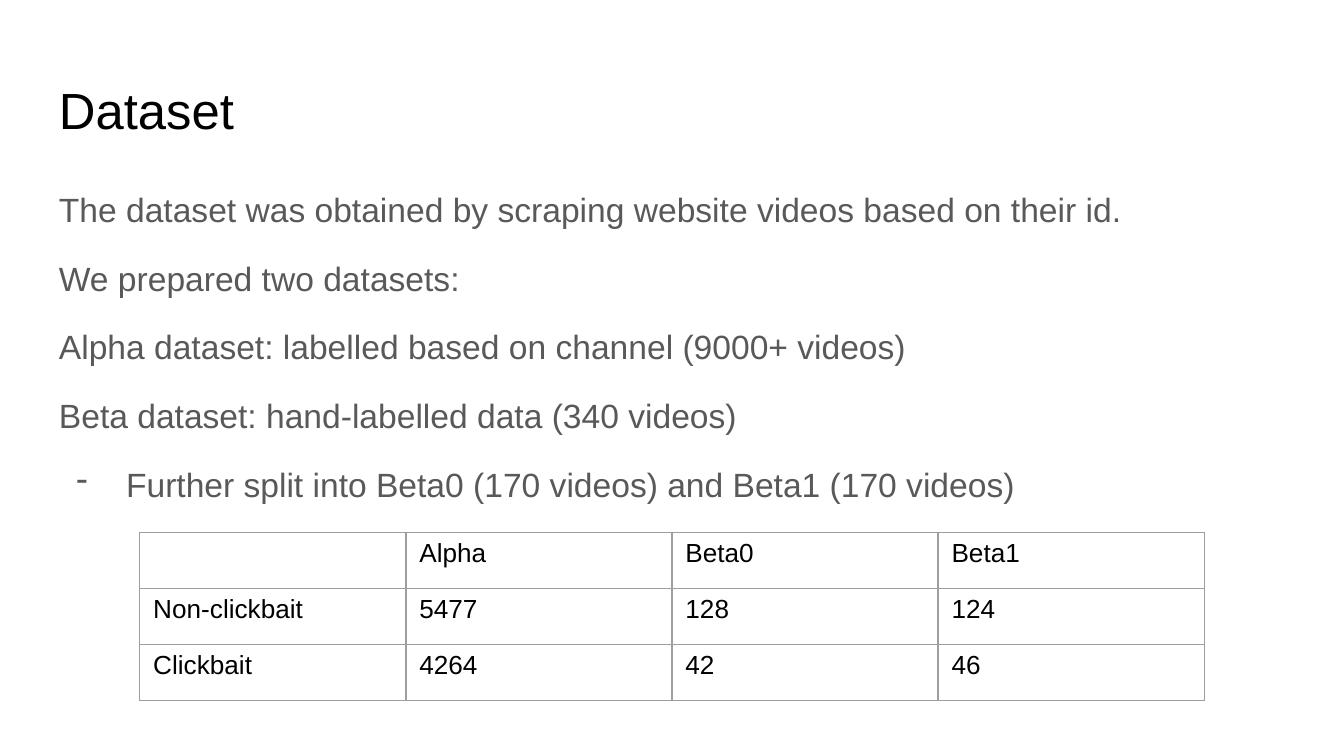
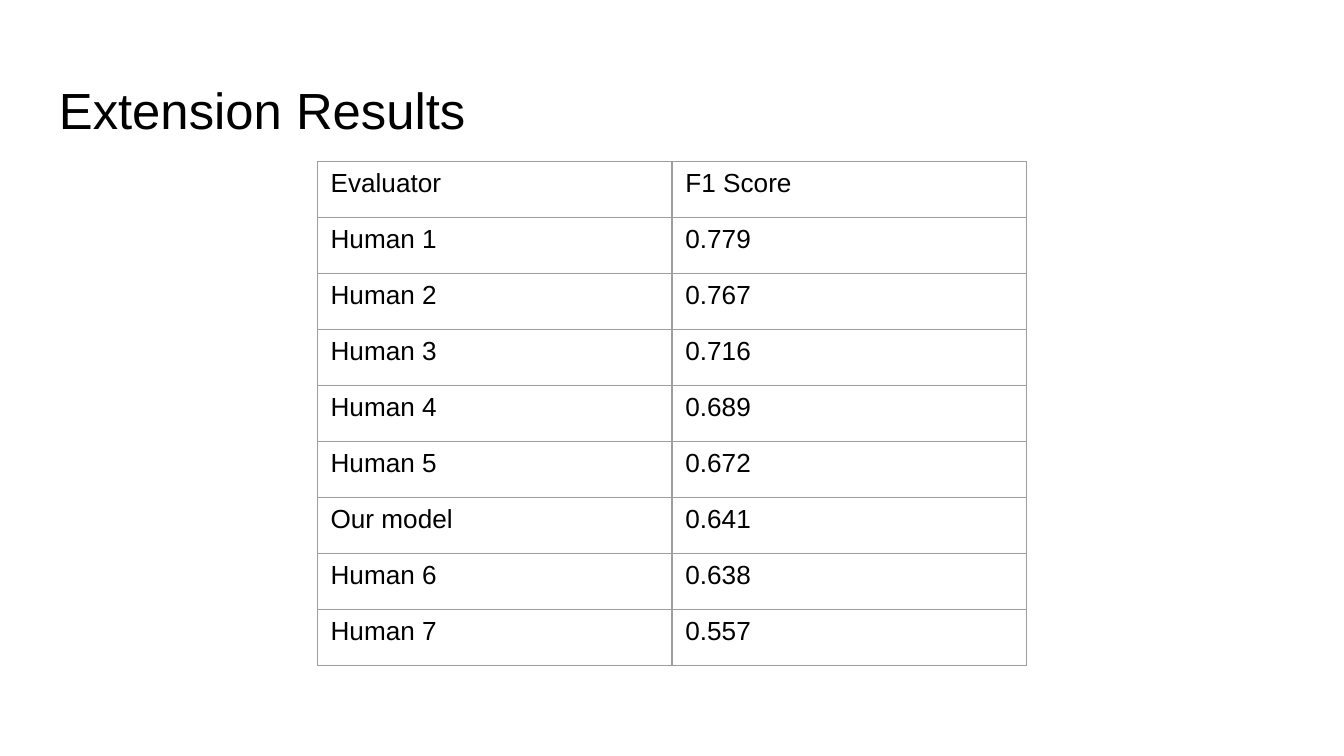
from dataclasses import dataclass

from lxml import etree
from pptx import Presentation, util as u
from pptx.dml.color import RGBColor
from pptx.enum import text as t
from pptx.oxml import ns

COLORS = {"paper": "FFFFFF", "ink": "000000", "body": "595959", "rule": "9E9E9E"}
FONT = "Arial"
WIDTH, HEIGHT = u.Inches(10), u.Inches(5.625)
ROW_HEIGHT = 7.41  # percent of the slide height


@dataclass(frozen=True)
class Area:
    """A rectangle in percent of the slide's width and height."""
    left: float
    top: float
    width: float
    height: float

    def lengths(self) -> tuple[int, int, int, int]:
        return (across(self.left), down(self.top),
                across(self.width), down(self.height))


@dataclass(frozen=True)
class Line:
    words: str
    dashed: bool = False


@dataclass(frozen=True)
class Grid:
    """A table centred on the slide, measured in percent."""
    top: float
    column_width: float
    rows: tuple[tuple[str, ...], ...]


TITLE_AREA = Area(3.4, 8.7, 93.2, 11.2)
BODY_AREA = Area(3.4, 22.4, 93.2, 66.5)

DATASET_LINES = (
    Line("The dataset was obtained by scraping website videos based on their id."),
    Line("We prepared two datasets:"),
    Line("Alpha dataset: labelled based on channel (9000+ videos)"),
    Line("Beta dataset: hand-labelled data (340 videos)"),
    Line("Further split into Beta0 (170 videos) and Beta1 (170 videos)", dashed=True),
)
DATASET_COUNTS = Grid(70.4, 19.8, (
    ("", "Alpha", "Beta0", "Beta1"),
    ("Non-clickbait", "5477", "128", "124"),
    ("Clickbait", "4264", "42", "46"),
))
F1_SCORES = Grid(21.4, 26.4, (
    ("Evaluator", "F1 Score"),
    ("Human 1", "0.779"),
    ("Human 2", "0.767"),
    ("Human 3", "0.716"),
    ("Human 4", "0.689"),
    ("Human 5", "0.672"),
    ("Our model", "0.641"),
    ("Human 6", "0.638"),
    ("Human 7", "0.557"),
))


def across(percent: float) -> int:
    return round(WIDTH * percent / 100)


def down(percent: float) -> int:
    return round(HEIGHT * percent / 100)


def add_dash(paragraph, color: str) -> None:
    props = paragraph._p.get_or_add_pPr()
    props.set("marL", str(u.Inches(0.5)))
    props.set("indent", str(u.Inches(-0.37)))
    tint = etree.SubElement(props, ns.qn("a:buClr"))
    etree.SubElement(tint, ns.qn("a:srgbClr"), val=COLORS[color])
    etree.SubElement(props, ns.qn("a:buChar"), char="-")


def write(frame, *lines: Line, size: float, color: str = "ink",
          spacing: float = 1.0, gap: float = 0) -> None:
    """Fill a text frame, one paragraph per line."""
    for index, line in enumerate(lines):
        paragraph = frame.add_paragraph() if index else frame.paragraphs[0]
        paragraph.alignment = t.PP_ALIGN.LEFT
        paragraph.line_spacing = spacing
        if index:
            paragraph.space_before = u.Pt(gap)
        if line.dashed:
            add_dash(paragraph, color)
        run = paragraph.add_run()
        run.text = line.words
        run.font.name = FONT
        run.font.size = u.Pt(size)
        run.font.color.rgb = RGBColor.from_string(COLORS[color])


def add_text(slide, area: Area, *lines: Line, **style) -> None:
    frame = slide.shapes.add_textbox(*area.lengths()).text_frame
    frame.word_wrap = True
    frame.vertical_anchor = t.MSO_ANCHOR.TOP
    frame.margin_left = frame.margin_right = u.Inches(0.1)
    frame.margin_top = frame.margin_bottom = u.Inches(0.1)
    write(frame, *lines, **style)


def rule_cell(cell) -> None:
    """Draw the four borders; they must precede the fill in the XML."""
    props = cell._tc.get_or_add_tcPr()
    for index, side in enumerate(("lnL", "lnR", "lnT", "lnB")):
        border = etree.Element(ns.qn(f"a:{side}"), w=str(u.Pt(0.75)))
        fill = etree.SubElement(border, ns.qn("a:solidFill"))
        etree.SubElement(fill, ns.qn("a:srgbClr"), val=COLORS["rule"])
        props.insert(index, border)


def add_grid(slide, grid: Grid) -> None:
    row_count, column_count = len(grid.rows), len(grid.rows[0])
    width = column_count * grid.column_width
    area = Area((100 - width) / 2, grid.top, width, row_count * ROW_HEIGHT)
    table = slide.shapes.add_table(row_count, column_count, *area.lengths()).table
    table.first_row = table.horz_banding = False
    for column in table.columns:
        column.width = across(grid.column_width)
    for row, entries in zip(table.rows, grid.rows):
        row.height = down(ROW_HEIGHT)
        for cell, entry in zip(row.cells, entries):
            cell.fill.background()
            cell.margin_left = cell.margin_right = u.Inches(0.1)
            cell.margin_top = cell.margin_bottom = u.Inches(0.05)
            rule_cell(cell)
            if entry:
                write(cell.text_frame, Line(entry), size=14)


def add_titled_slide(deck, title: str):
    slide = deck.slides.add_slide(deck.slide_layouts[6])
    slide.background.fill.solid()
    slide.background.fill.fore_color.rgb = RGBColor.from_string(COLORS["paper"])
    add_text(slide, TITLE_AREA, Line(title), size=27.2)
    return slide


def main() -> None:
    deck = Presentation()
    deck.slide_width, deck.slide_height = WIDTH, HEIGHT

    dataset = add_titled_slide(deck, "Dataset")
    add_text(dataset, BODY_AREA, *DATASET_LINES,
             size=18, color="body", spacing=1.15, gap=12)
    add_grid(dataset, DATASET_COUNTS)

    results = add_titled_slide(deck, "Extension Results")
    add_grid(results, F1_SCORES)

    deck.save("out.pptx")


if __name__ == "__main__":
    main()
